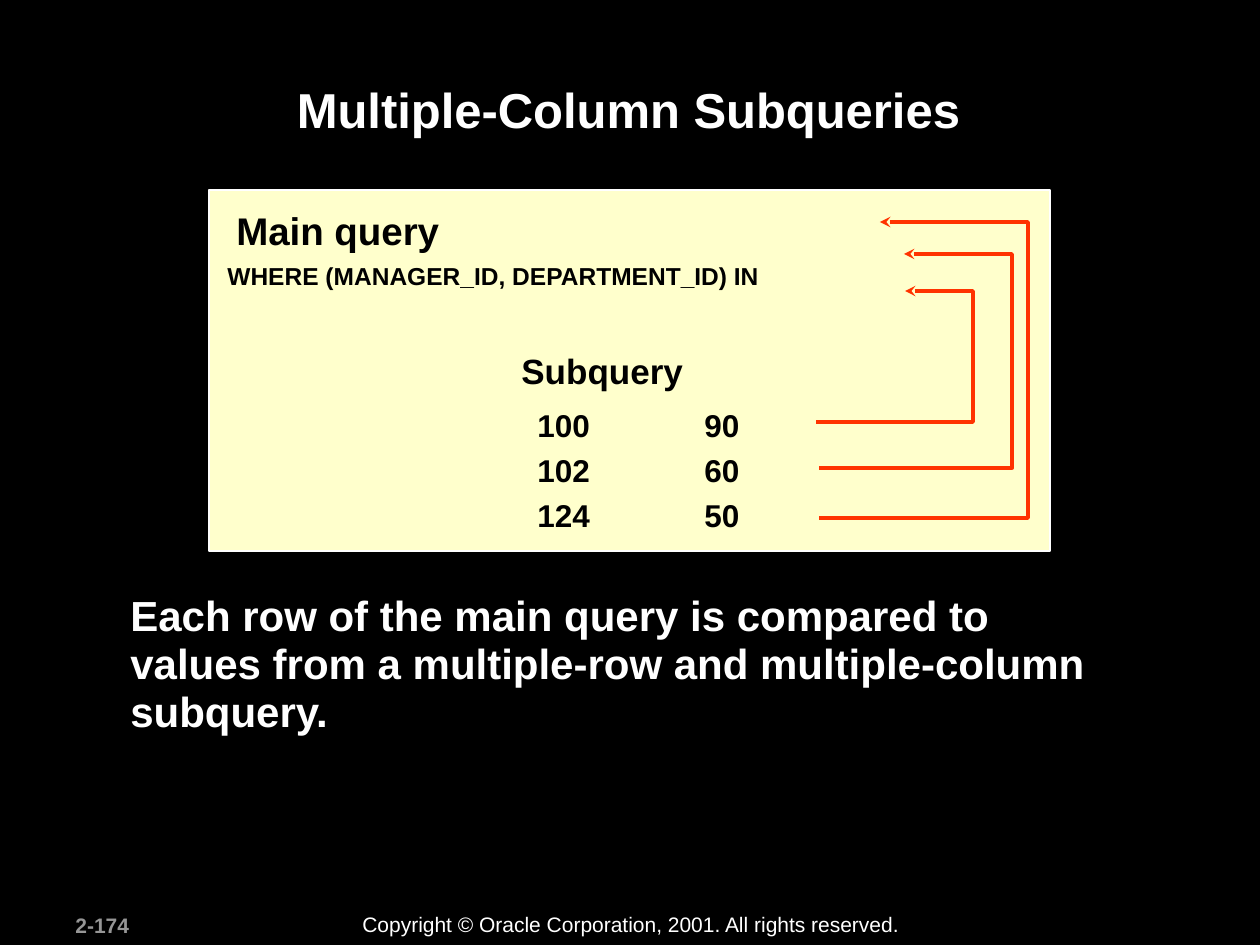
from dataclasses import dataclass

from lxml import etree
from pptx import Presentation
from pptx.dml.color import RGBColor
from pptx.enum.shapes import MSO_SHAPE
from pptx.enum.text import MSO_ANCHOR, MSO_AUTO_SIZE, PP_ALIGN
from pptx.oxml.ns import qn
from pptx.slide import Slide
from pptx.text.text import TextFrame
from pptx.util import Pt

RECTANGLE = MSO_SHAPE.RECTANGLE
TOP = MSO_ANCHOR.TOP
NO_AUTOFIT = MSO_AUTO_SIZE.NONE
LEFT, CENTER = PP_ALIGN.LEFT, PP_ALIGN.CENTER
EMU_PER_PX = 914400 / 126
TITLE_ONLY = 5


@dataclass(frozen=True)
class Theme:
    font: str = "Arial"
    background: str = "000000"
    light: str = "FFFFFF"
    dark: str = "000000"
    muted: str = "969696"
    panel: str = "FFFFCC"
    arrow: str = "FF3300"
    title_size: int = 28
    body_size: int = 24
    query_size: int = 22
    subquery_size: int = 20
    value_size: int = 18
    code_size: int = 14
    footer_size: int = 12


@dataclass(frozen=True)
class Label:
    text: str
    left: int
    top: int
    width: int
    height: int
    size: int
    color: str
    bold: bool = True
    wrap: bool = True
    line_spacing: float = 1.0
    align: PP_ALIGN = LEFT


@dataclass(frozen=True)
class MatchArrow:
    start_x: int
    row_y: int
    turn_x: int
    head_x: int
    head_y: int


THEME = Theme()
VALUE_TAB = 167
SUBQUERY_ROWS = [(100, 90), (102, 60), (124, 50)]

TITLE = Label("Multiple-Column Subqueries", 118, 73, 1021, 121,
              THEME.title_size, THEME.light, align=CENTER)
FOOTER = [
    Label("2-174", 63, 906, 132, 38, THEME.footer_size, THEME.muted),
    Label("Copyright © Oracle Corporation, 2001. All rights reserved.",
          350, 905, 564, 38, THEME.footer_size, THEME.light, bold=False),
]
QUERY_LABELS = [
    Label("Main query", 224, 192, 228, 68, THEME.query_size, THEME.dark,
          wrap=False, line_spacing=1.2),
    Label("WHERE (MANAGER_ID, DEPARTMENT_ID) IN", 215, 249, 566, 48,
          THEME.code_size, THEME.dark, wrap=False, line_spacing=1.2),
    Label("Subquery", 509, 335, 188, 63, THEME.subquery_size, THEME.dark,
          wrap=False, line_spacing=1.2),
]
SUBQUERY_VALUES = Label(
    "\v".join(f"{manager}\t{department}" for manager, department in SUBQUERY_ROWS),
    525, 392, 316, 149, THEME.value_size, THEME.dark, line_spacing=1.2)
EXPLANATION = Label(
    "Each row of the main query is compared to values from a multiple-row "
    "and multiple-column subquery.",
    118, 587, 1018, 156, THEME.body_size, THEME.light, line_spacing=0.95)
MATCH_ARROWS = [
    MatchArrow(816, 422, 973, 905, 291),
    MatchArrow(819, 468, 1012, 904, 254),
    MatchArrow(819, 518, 1028, 880, 222),
]


def px(value: int) -> int:
    return round(value * EMU_PER_PX)


def rgb(color: str) -> RGBColor:
    return RGBColor.from_string(color)


def format_text(frame: TextFrame, label: Label, tab: int | None = None) -> None:
    frame.text = label.text
    frame.word_wrap = label.wrap
    frame.auto_size = NO_AUTOFIT
    frame.vertical_anchor = TOP
    paragraph = frame.paragraphs[0]
    paragraph.alignment = label.align
    paragraph.line_spacing = label.line_spacing
    if tab is not None:
        tab_list = etree.SubElement(paragraph._p.get_or_add_pPr(), qn("a:tabLst"))
        etree.SubElement(tab_list, qn("a:tab"), pos=str(px(tab)), algn="l")
    for run in paragraph.runs:
        run.font.name = THEME.font
        run.font.size = Pt(label.size)
        run.font.bold = label.bold
        run.font.color.rgb = rgb(label.color)


def add_label(slide: Slide, label: Label, tab: int | None = None) -> None:
    box = slide.shapes.add_textbox(
        px(label.left), px(label.top), px(label.width), px(label.height))
    format_text(box.text_frame, label, tab)


def add_title(slide: Slide, label: Label) -> None:
    title = slide.shapes.title
    title.left, title.top = px(label.left), px(label.top)
    title.width, title.height = px(label.width), px(label.height)
    format_text(title.text_frame, label)


def add_panel(slide: Slide) -> None:
    panel = slide.shapes.add_shape(RECTANGLE, px(209), px(190), px(841), px(361))
    panel.shadow.inherit = False
    panel.fill.solid()
    panel.fill.fore_color.rgb = rgb(THEME.panel)
    panel.line.color.rgb = rgb(THEME.light)
    panel.line.width = Pt(1)


def add_match_arrow(slide: Slide, arrow: MatchArrow) -> None:
    builder = slide.shapes.build_freeform(arrow.start_x, arrow.row_y, scale=EMU_PER_PX)
    builder.add_line_segments(
        [(arrow.turn_x, arrow.row_y), (arrow.turn_x, arrow.head_y),
         (arrow.head_x, arrow.head_y)], close=False)
    route = builder.convert_to_shape()
    route.shadow.inherit = False
    route.fill.background()
    route.line.color.rgb = rgb(THEME.arrow)
    route.line.width = Pt(2)
    etree.SubElement(route.line._get_or_add_ln(), qn("a:tailEnd"), type="stealth")


def main() -> None:
    deck = Presentation()
    deck.slide_width, deck.slide_height = px(1260), px(945)
    slide = deck.slides.add_slide(deck.slide_layouts[TITLE_ONLY])
    slide.background.fill.solid()
    slide.background.fill.fore_color.rgb = rgb(THEME.background)
    add_title(slide, TITLE)
    add_panel(slide)
    for label in QUERY_LABELS:
        add_label(slide, label)
    add_label(slide, SUBQUERY_VALUES, VALUE_TAB)
    for arrow in MATCH_ARROWS:
        add_match_arrow(slide, arrow)
    for label in [EXPLANATION, *FOOTER]:
        add_label(slide, label)
    deck.save("out.pptx")


if __name__ == "__main__":
    main()
